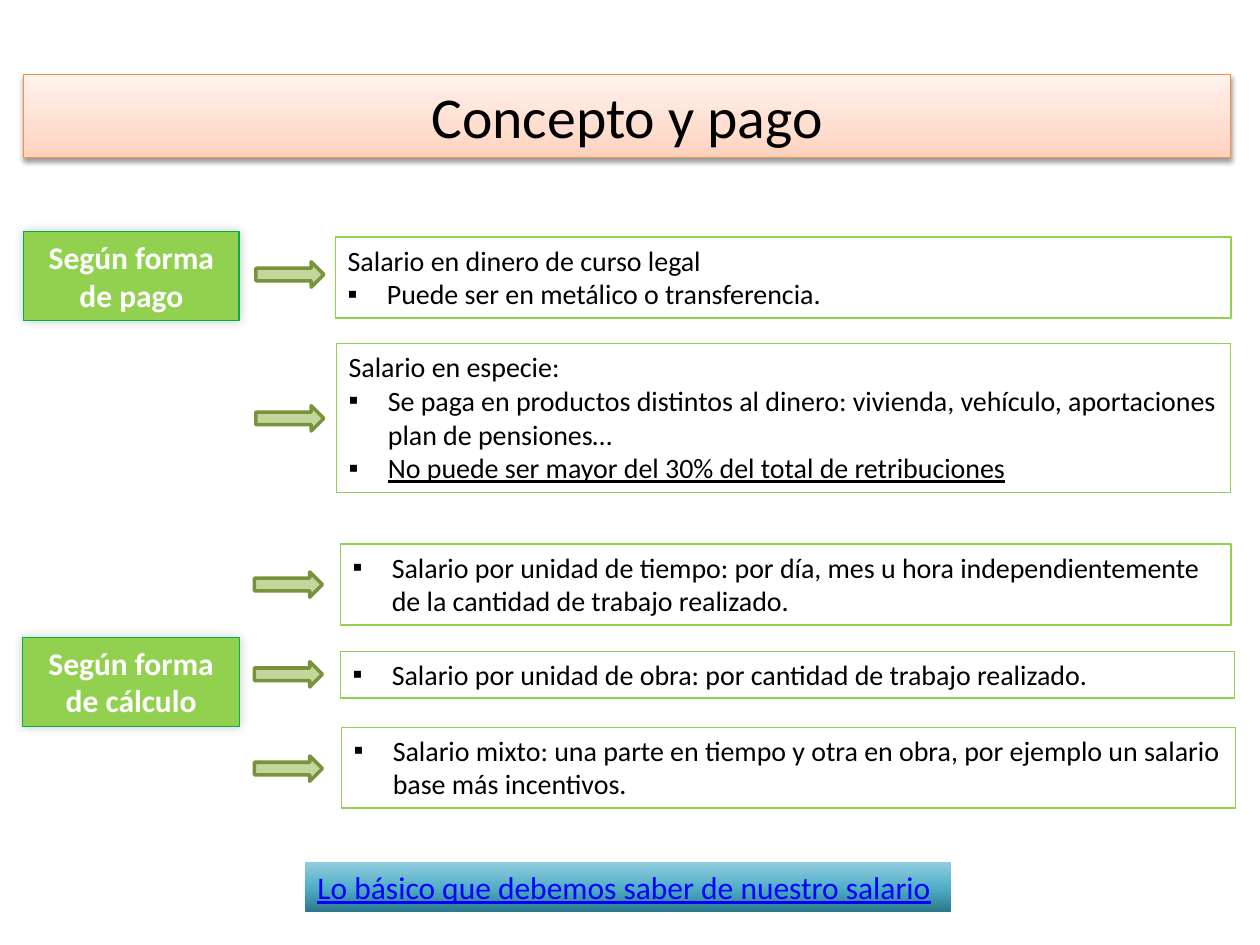
from copy import deepcopy
from dataclasses import dataclass

from lxml import etree
from pptx import Presentation
from pptx import util as u
from pptx.dml.color import RGBColor
from pptx.enum import shapes, text
from pptx.oxml.ns import qn


@dataclass(frozen=True)
class Theme:
    font: str = "Calibri"
    title_size: float = 33
    label_size: float = 18
    body_size: float = 16
    ink: str = "000000"
    white: str = "FFFFFF"
    link: str = "0000FF"
    title_line: str = "F69240"
    label_fill: str = "92D050"
    label_line: str = "00B050"
    detail_line: str = "92D050"
    arrow_fill: str = "C3D69B"
    arrow_line: str = "77933C"
    title_stops: tuple = ((0, "FFD2BD"), (0.35, "FFDED0"), (1, "FFF2ED"))
    link_stops: tuple = ((0, "2C778B"), (0.48, "50AEC8"), (1, "93CDDD"))


T = Theme()
BULLET_INDENT = u.Cm(0.79)

# Each detail: arrow position, box (left, top, width, height),
# paragraphs (text, bulleted, underlined)
DETAILS = [
    ((5.16, 5.28), (6.76, 4.78, 18.06, 1.63), [
        ("Salario en dinero de curso legal", False, False),
        ("Puede ser en metálico o transferencia.", True, False)]),
    ((5.16, 8.18), (6.78, 6.93, 18.03, 3), [
        ("Salario en especie:", False, False),
        ("Se paga en productos distintos al dinero: vivienda, vehículo, "
         "aportaciones plan de pensiones…", True, False),
        ("No puede ser mayor del 30% del total de retribuciones", True, True)]),
    ((5.13, 11.53), (6.86, 10.97, 17.96, 1.63), [
        ("Salario por unidad de tiempo: por día, mes u hora "
         "independientemente de la cantidad de trabajo realizado.", True, False)]),
    ((5.13, 13.34), (6.86, 13.13, 18.03, 0.94), [
        ("Salario por unidad de obra: por cantidad de trabajo realizado.",
         True, False)]),
    ((5.13, 15.24), (6.88, 14.66, 18.03, 1.63), [
        ("Salario mixto: una parte en tiempo y otra en obra, por ejemplo "
         "un salario base más incentivos.", True, False)]),
]


def rgb(value):
    return RGBColor.from_string(value)


def add_shape(s, box, fill=None, line=None, width=0.75,
              kind=shapes.MSO_SHAPE.RECTANGLE):
    sp = s.shapes.add_shape(kind, *(u.Cm(v) for v in box))
    sp.shadow.inherit = False
    if fill:
        sp.fill.solid()
        sp.fill.fore_color.rgb = rgb(fill)
    else:
        sp.fill.background()
    if line:
        sp.line.color.rgb = rgb(line)
        sp.line.width = u.Pt(width)
    else:
        sp.line.fill.background()
    tf = sp.text_frame
    tf.word_wrap = True
    tf.vertical_anchor = text.MSO_ANCHOR.TOP
    return sp


def set_gradient(sp, stops):
    """Fill with three colour stops running from bottom to top."""
    sp.fill.gradient()
    sp.fill.gradient_angle = 90
    first = next(sp._element.spPr.iter(qn("a:gs")))
    first.addnext(deepcopy(first))
    for stop, (position, color) in zip(sp.fill.gradient_stops, stops):
        stop.position = position
        stop.color.rgb = rgb(color)


def set_shadow(sp, alpha, blur, dist, angle):
    effects = sp._element.spPr.find(qn("a:effectLst"))
    shadow = etree.SubElement(
        effects, qn("a:outerShdw"), blurRad=str(u.Pt(blur)),
        dist=str(u.Pt(dist)), dir=str(angle * 60000), rotWithShape="0")
    color = etree.SubElement(shadow, qn("a:srgbClr"), val=T.ink)
    etree.SubElement(color, qn("a:alpha"), val=str(alpha * 1000))


def set_bullet(p):
    pPr = p._p.get_or_add_pPr()
    pPr.set("marL", str(BULLET_INDENT))
    pPr.set("indent", str(-BULLET_INDENT))
    etree.SubElement(pPr, qn("a:buFont"), typeface="Arial")
    etree.SubElement(pPr, qn("a:buChar"), char="▪")


def add_run(p, content, size, color, align=text.PP_ALIGN.LEFT,
            bold=False, underline=False):
    p.alignment = align
    r = p.add_run()
    r.text = content
    r.font.name = T.font
    r.font.size = u.Pt(size)
    r.font.color.rgb = rgb(color)
    r.font.bold = bold
    r.font.underline = underline


def add_title(s, content, box):
    sp = add_shape(s, box, line=T.title_line)
    set_gradient(sp, T.title_stops)
    set_shadow(sp, 38, 3.1, 1.6, 90)
    add_run(sp.text_frame.paragraphs[0], content, T.title_size, T.ink,
            text.PP_ALIGN.CENTER)


def add_label(s, content, box):
    sp = add_shape(s, box, T.label_fill, T.label_line)
    set_shadow(sp, 20, 6, 0, 225)
    add_run(sp.text_frame.paragraphs[0], content, T.label_size, T.white,
            text.PP_ALIGN.CENTER, bold=True)


def add_arrow(s, position):
    add_shape(s, (*position, 1.37, 0.51), T.arrow_fill, T.arrow_line, 2,
              shapes.MSO_SHAPE.RIGHT_ARROW)


def add_detail(s, box, paragraphs):
    tf = add_shape(s, box, line=T.detail_line).text_frame
    for i, (content, bulleted, underlined) in enumerate(paragraphs):
        p = tf.add_paragraph() if i else tf.paragraphs[0]
        if bulleted:
            set_bullet(p)
        add_run(p, content, T.body_size, T.ink, underline=underlined)


def add_link_box(s, content, box):
    sp = add_shape(s, box)
    set_gradient(sp, T.link_stops)
    sp.text_frame.word_wrap = False
    add_run(sp.text_frame.paragraphs[0], content, T.label_size, T.link,
            underline=True)


def main():
    prs = Presentation()
    prs.slide_width, prs.slide_height = u.Cm(25.4), u.Cm(19.05)
    s = prs.slides.add_slide(prs.slide_layouts[6])
    add_title(s, "Concepto y pago", (0.48, 1.5, 24.33, 1.68))
    add_label(s, "Según forma de pago", (0.48, 4.67, 4.34, 1.8))
    add_label(s, "Según forma de cálculo", (0.46, 12.85, 4.37, 1.8))
    for arrow, box, paragraphs in DETAILS:
        add_detail(s, box, paragraphs)
        add_arrow(s, arrow)
    add_link_box(s, "Lo básico que debemos saber de nuestro salario",
                 (6.15, 17.37, 13.03, 1.02))
    prs.save("out.pptx")


if __name__ == "__main__":
    main()
